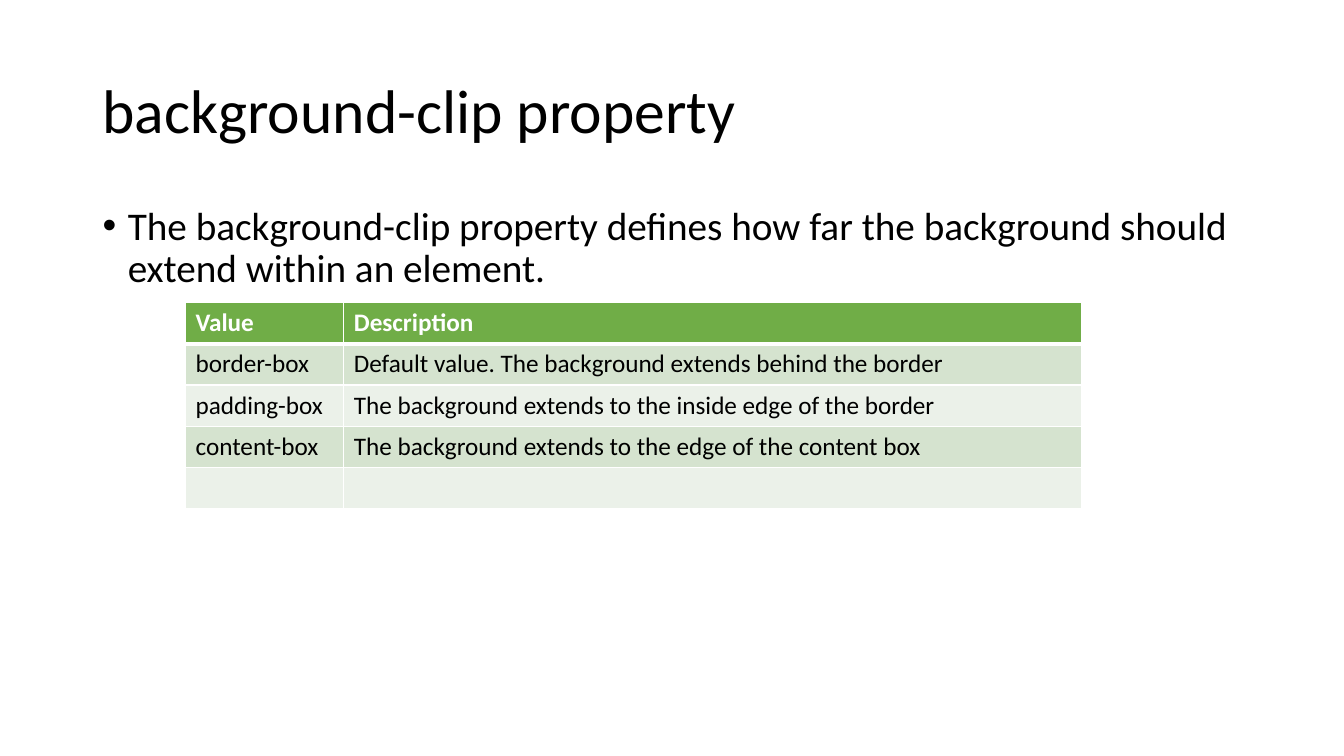
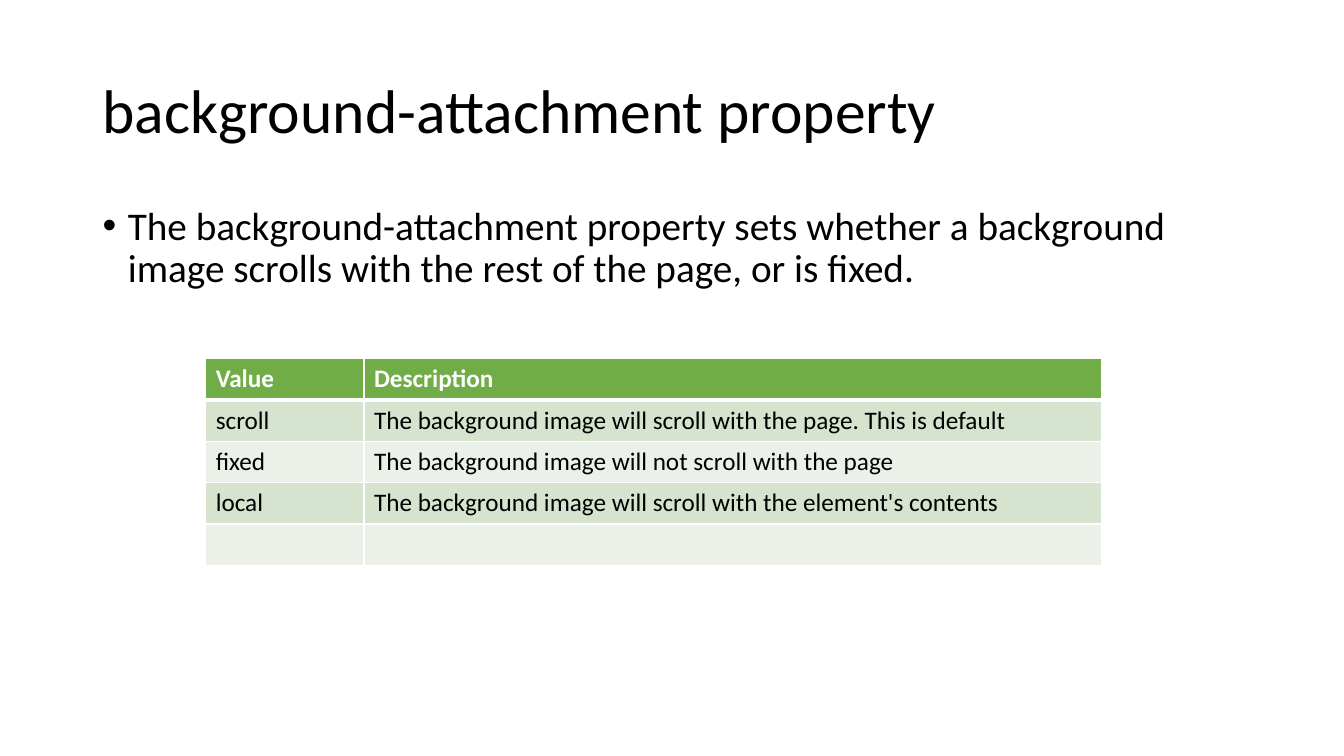
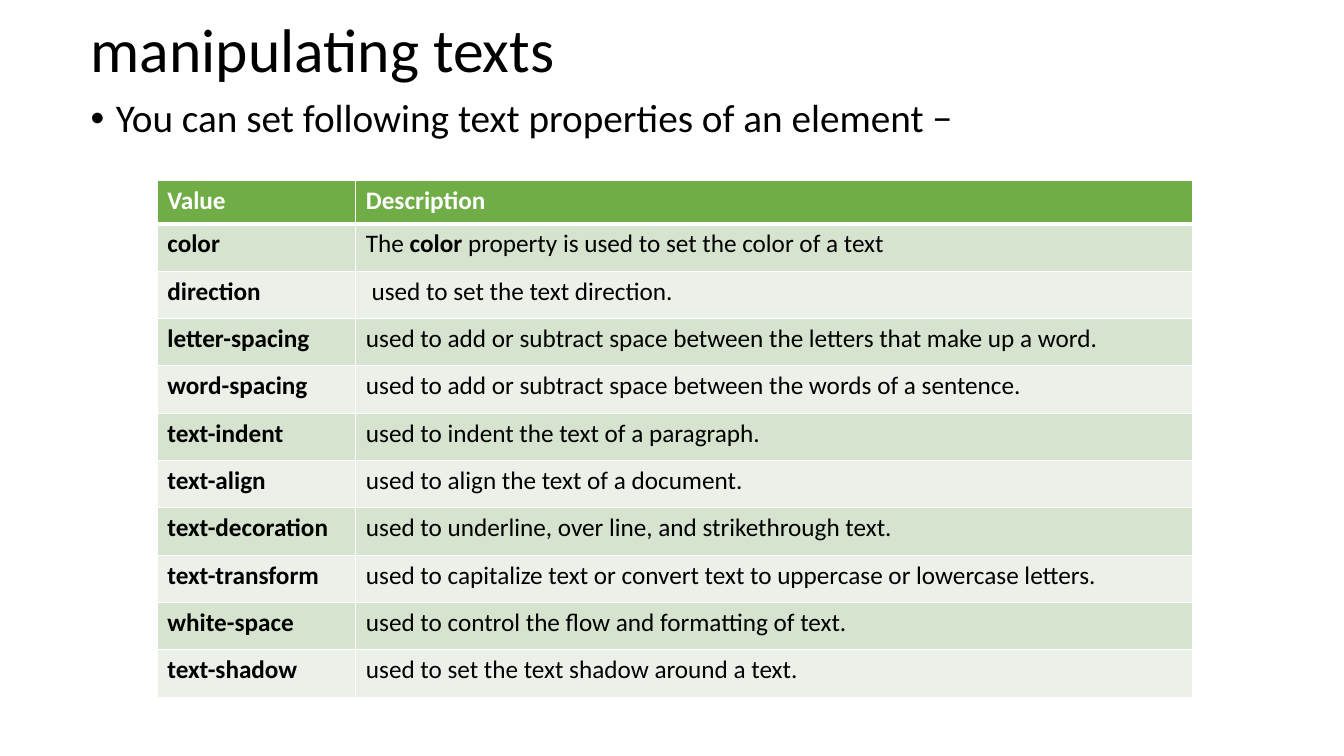
from lxml import etree
from pptx import Presentation
from pptx.dml.color import RGBColor
from pptx.enum import text
from pptx.oxml import ns
from pptx.util import Inches, Pt

FONT = "Calibri"
BLACK = RGBColor(0x00, 0x00, 0x00)
WHITE = RGBColor(0xFF, 0xFF, 0xFF)
GREEN = RGBColor(0x70, 0xAD, 0x47)
BANDS = (RGBColor(0xD5, 0xE3, 0xCF), RGBColor(0xEB, 0xF1, 0xE9))

TEXT_WIDTH = 11.5
BODY_HEIGHT = 4.76
HEADER = ("Value", "Description")

CLIP_ROWS = [
    ("border-box", "Default value. The background extends behind the border"),
    ("padding-box", "The background extends to the inside edge of the border"),
    ("content-box", "The background extends to the edge of the content box"),
    ("", ""),
]
ATTACHMENT_ROWS = [
    ("scroll", "The background image will scroll with the page. This is default"),
    ("fixed", "The background image will not scroll with the page"),
    ("local", "The background image will scroll with the element's contents"),
    ("", ""),
]
TEXT_ROWS = [
    ("color", "The |color| property is used to set the color of a text"),
    ("direction", " used to set the text direction."),
    ("letter-spacing", "used to add or subtract space between the letters that make up a word."),
    ("word-spacing", "used to add or subtract space between the words of a sentence."),
    ("text-indent", "used to indent the text of a paragraph."),
    ("text-align", "used to align the text of a document."),
    ("text-decoration", "used to underline, over line, and strikethrough text."),
    ("text-transform", "used to capitalize text or convert text to uppercase or lowercase letters."),
    ("white-space", "used to control the flow and formatting of text."),
    ("text-shadow", "used to set the text shadow around a text."),
]


def style_run(run, size, color=BLACK, bold=False):
    run.font.name = FONT
    run.font.size = Pt(size)
    run.font.color.rgb = color
    run.font.bold = bold


def add_text(slide, content, left, top, height, size, anchor):
    shape = slide.shapes.add_textbox(Inches(left), Inches(top), Inches(TEXT_WIDTH), Inches(height))
    text_frame = shape.text_frame
    text_frame.word_wrap = True
    text_frame.vertical_anchor = anchor
    text_frame.text = content
    paragraph = text_frame.paragraphs[0]
    paragraph.line_spacing = 0.9
    style_run(paragraph.runs[0], size)
    return paragraph


def add_title(slide, content, left, top, height):
    add_text(slide, content, left, top, height, 44, text.MSO_ANCHOR.MIDDLE)


def add_bullet(slide, content, left, top):
    paragraph = add_text(slide, content, left, top, BODY_HEIGHT, 28, text.MSO_ANCHOR.TOP)
    properties = paragraph._p.get_or_add_pPr()
    properties.set("marL", str(Inches(0.25)))
    properties.set("indent", str(Inches(-0.25)))
    etree.SubElement(properties, ns.qn("a:buFont"), typeface="Arial")
    etree.SubElement(properties, ns.qn("a:buChar"), char="•")


def set_borders(cell, top, bottom):
    properties = cell._tc.get_or_add_tcPr()
    for side, width in (("L", 1), ("R", 1), ("T", top), ("B", bottom)):
        line = etree.SubElement(properties, ns.qn(f"a:ln{side}"), w=str(Pt(width)))
        fill = etree.SubElement(line, ns.qn("a:solidFill"))
        etree.SubElement(fill, ns.qn("a:srgbClr"), val=str(WHITE))


def fill_cell(cell, content, fill, color, bold):
    cell.fill.solid()
    cell.fill.fore_color.rgb = fill
    paragraph = cell.text_frame.paragraphs[0]
    for index, part in enumerate(content.split("|")):
        if part:
            run = paragraph.add_run()
            run.text = part
            style_run(run, 18, color, bold or index % 2 == 1)


def add_property_table(slide, rows, left, top, column_widths, header_height, row_height, bold_names=False):
    height = header_height + row_height * len(rows)
    frame = slide.shapes.add_table(
        len(rows) + 1, len(HEADER), Inches(left), Inches(top), Inches(sum(column_widths)), Inches(height)
    )
    table = frame.table
    for column, width in zip(table.columns, column_widths):
        column.width = Inches(width)
    for row_index, values in enumerate([HEADER] + rows):
        is_header = row_index == 0
        table.rows[row_index].height = Inches(header_height if is_header else row_height)
        fill = GREEN if is_header else BANDS[(row_index - 1) % 2]
        color = WHITE if is_header else BLACK
        for column_index, value in enumerate(values):
            cell = table.cell(row_index, column_index)
            set_borders(cell, 3 if row_index == 1 else 1, 3 if is_header else 1)
            bold = is_header or (bold_names and column_index == 0)
            fill_cell(cell, value, fill, color, bold)


def add_background_slide(slide, name, description, rows, left, top):
    add_title(slide, f"{name} property", 0.92, 0.4, 1.45)
    add_bullet(slide, f"The {name} property {description}", 0.92, 2)
    add_property_table(slide, rows, left, top, (1.57, 7.32), 0.41, 0.41)


def add_texts_slide(slide):
    add_title(slide, "manipulating texts", 0.8, 0.12, 0.81)
    add_bullet(slide, "You can set following text properties of an element −", 0.8, 0.93)
    add_property_table(slide, TEXT_ROWS, 1.56, 1.79, (1.97, 8.3), 0.43, 0.47, bold_names=True)


def main():
    presentation = Presentation()
    presentation.slide_width = Inches(13.33)
    presentation.slide_height = Inches(7.5)
    blank = presentation.slide_layouts[6]
    clip, attachment, texts = [presentation.slides.add_slide(blank) for _ in range(3)]
    add_background_slide(
        clip, "background-clip",
        "defines how far the background should extend within an element.",
        CLIP_ROWS, 1.84, 3,
    )
    add_background_slide(
        attachment, "background-attachment",
        "sets whether a background image scrolls with the rest of the page, or is fixed.",
        ATTACHMENT_ROWS, 2.04, 3.56,
    )
    add_texts_slide(texts)
    presentation.save("out.pptx")


if __name__ == "__main__":
    main()
